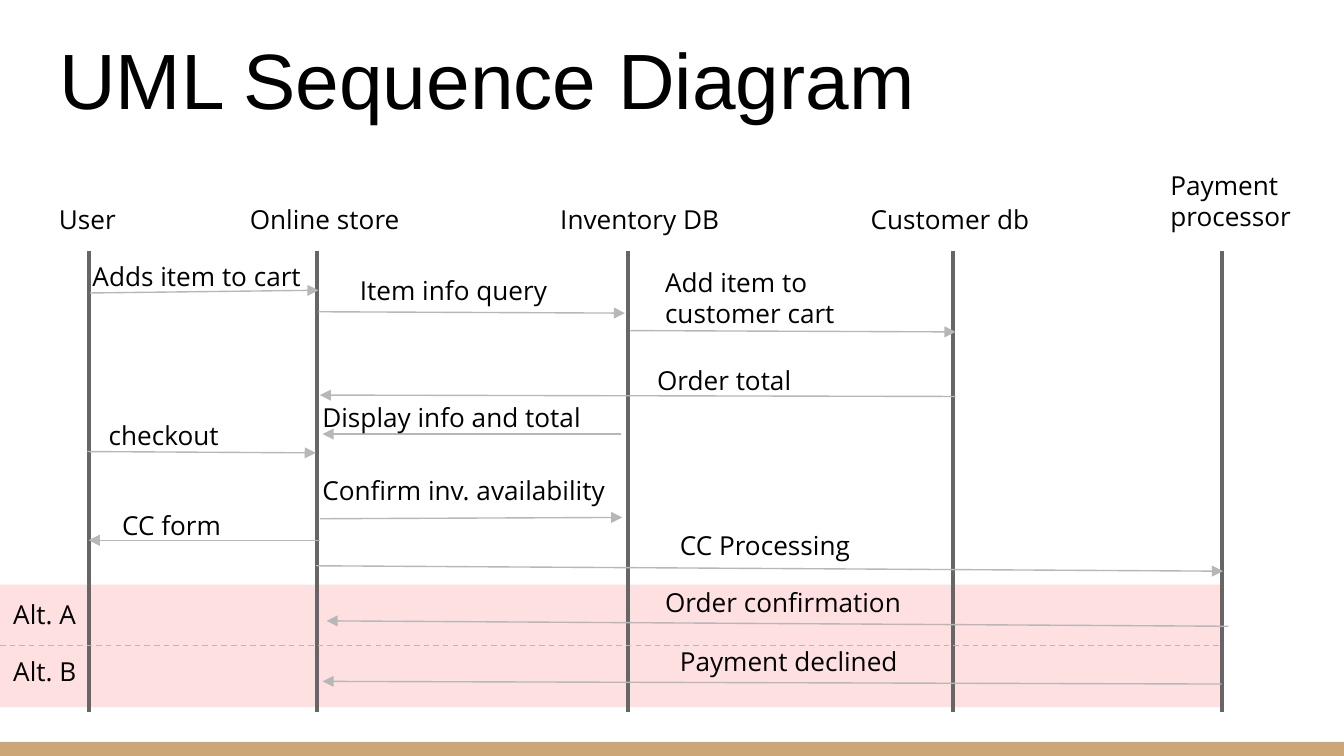
from lxml.etree import SubElement
from pptx import Presentation
from pptx.dml.color import RGBColor
from pptx.enum.dml import MSO_LINE
from pptx.enum.shapes import MSO_CONNECTOR as CONNECTOR, MSO_SHAPE as SHAPE
from pptx.enum.text import MSO_ANCHOR as ANCHOR, MSO_AUTO_SIZE as AUTO_SIZE, PP_ALIGN as ALIGN
from pptx.oxml.ns import qn
from pptx.util import Emu, Pt

TITLE = "UML Sequence Diagram"
ALTERNATIVES = ["Alt. A", "Alt. B"]

# name, lifeline x, (label left, width, lines of text)
PARTICIPANTS = [
    ("User", 66, (34, 63, 1)),
    ("Online store", 236, (176, 151, 1)),
    ("Inventory DB", 467, (407, 151, 1)),
    ("Customer db", 709, (638, 144, 1)),
    ("Payment processor", 909, (861, 117, 2)),
]

# label, (label left, top, width, lines of text), arrow start, arrow end
MESSAGES = [
    ("Adds item to cart", (59, 184, 187, 1), (67, 218), (237, 216)),
    ("Item info query", (258, 194, 187, 1), (237, 232), (465, 233)),
    ("Add item to customer cart", (485, 188, 187, 2), (469, 246), (711, 247)),
    ("Order total", (479, 261, 161, 1), (711, 295), (238, 294)),
    ("Display info and total", (230, 289, 223, 1), (462, 323), (240, 323)),
    ("checkout", (71, 302, 117, 1), (65, 336), (235, 337)),
    ("Confirm inv. availability", (230, 343, 242, 1), (238, 386), (463, 385)),
    ("CC form", (81, 369, 117, 1), (238, 402), (66, 402)),
    ("CC Processing", (496, 384, 187, 1), (235, 421), (910, 425)),
    ("Order confirmation", (485, 426, 329, 1), (914, 466), (243, 462)),
    ("Payment declined", (496, 470, 187, 1), (909, 509), (240, 507)),
]

THEME = {
    "text": "000000", "lifeline": "666666", "message": "B7B7B7",
    "alternatives": "FFC5C5", "footer": "CCA677",
    "title_font": "Arial", "label_font": "Open Sans",
    "title_size": 42, "label_size": 14, "alternative_gap": 14,
    "lifeline_width": 2.25, "message_width": 0.75,
}
ALTERNATIVES_OPACITY = 52
WIDTH, HEIGHT = 1000, 562.5
INSET = 10
LABEL_HEIGHT = {1: 44, 2: 67}
LIFELINE_TOP, LIFELINE_BOTTOM = 187, 530
LABEL_BOTTOM = {1: 185, 2: 183}


def px(length):
    """Turn px, 100 to the inch, into EMU."""
    return Emu(round(length * 9144))


def colour(role):
    return RGBColor.from_string(THEME[role])


def write(frame, lines, kind="label", gap=0):
    """Fill a text frame, one paragraph a line, in the theme's style for kind."""
    frame.word_wrap = True
    frame.auto_size = AUTO_SIZE.NONE
    frame.margin_left = frame.margin_right = px(INSET)
    frame.margin_top = frame.margin_bottom = px(INSET)
    for index, line in enumerate(lines):
        paragraph = frame.add_paragraph() if index else frame.paragraphs[0]
        paragraph.alignment = ALIGN.LEFT
        paragraph.space_before = Pt(gap if index else 0)
        run = paragraph.add_run()
        run.text = line
        run.font.name = THEME[kind + "_font"]
        run.font.size = Pt(THEME[kind + "_size"])
        run.font.color.rgb = colour("text")


def add_label(shapes, text, left, top, width, rows):
    label = shapes.add_textbox(px(left), px(top), px(width), px(LABEL_HEIGHT[rows]))
    label.text_frame.vertical_anchor = ANCHOR.TOP
    write(label.text_frame, [text])


def add_line(shapes, start, end, kind, arrow=False):
    line = shapes.add_connector(CONNECTOR.STRAIGHT, *map(px, start + end))
    line.line.color.rgb = colour(kind)
    line.line.width = Pt(THEME[kind + "_width"])
    if arrow:
        SubElement(line.line._get_or_add_ln(), qn("a:tailEnd"), type="triangle")
    SubElement(line._element.spPr, qn("a:effectLst"))
    return line


def add_band(shapes, left, top, width, height, role):
    band = shapes.add_shape(SHAPE.RECTANGLE, *map(px, (left, top, width, height)))
    band.shadow.inherit = False
    band.fill.solid()
    band.fill.fore_color.rgb = colour(role)
    band.line.fill.background()
    return band


def main():
    deck = Presentation()
    deck.slide_width, deck.slide_height = px(WIDTH), px(HEIGHT)
    slide = deck.slides.add_slide(deck.slide_layouts[5])
    shapes = slide.shapes

    title = shapes.title
    title.left, title.top, title.width, title.height = map(px, (34, 12, 932, 91))
    title.text_frame.vertical_anchor = ANCHOR.BOTTOM
    write(title.text_frame, [TITLE], "title")

    add_band(shapes, 0, 552, WIDTH, HEIGHT - 552, "footer")

    alternatives = add_band(shapes, 0, 435, 909, 91, "alternatives")
    tint = alternatives._element.spPr.find(qn("a:solidFill"))[0]
    SubElement(tint, qn("a:alpha"), val=str(ALTERNATIVES_OPACITY * 1000))
    alternatives.text_frame.vertical_anchor = ANCHOR.TOP
    write(alternatives.text_frame, ALTERNATIVES, gap=THEME["alternative_gap"])

    for name, x, (left, width, rows) in PARTICIPANTS:
        participant = shapes.add_group_shape().shapes
        add_line(participant, (x, LIFELINE_TOP), (x, LIFELINE_BOTTOM), "lifeline")
        top = LABEL_BOTTOM[rows] - LABEL_HEIGHT[rows]
        add_label(participant, name, left, top, width, rows)

    for text, place, start, end in MESSAGES:
        add_line(shapes, start, end, "message", arrow=True)
        add_label(shapes, text, *place)

    divider = add_line(shapes, (0, 480), (909, 480), "message")
    divider.line.dash_style = MSO_LINE.DASH
    divider.begin_connect(alternatives, 1)
    divider.end_connect(alternatives, 3)

    deck.save("out.pptx")


if __name__ == "__main__":
    main()
